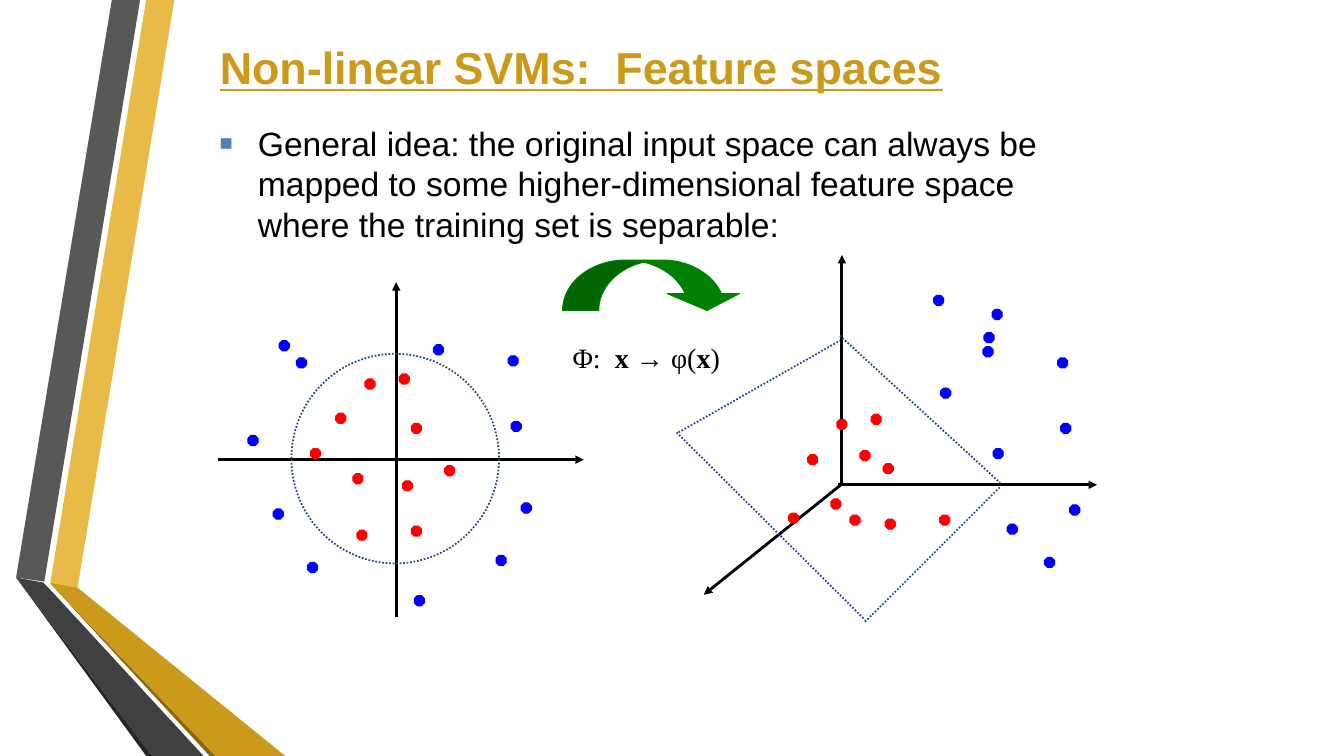
from pptx import Presentation
from pptx.dml.color import RGBColor
from pptx.enum.dml import MSO_LINE as Dash
from pptx.enum.shapes import MSO_CONNECTOR as Conn, MSO_SHAPE as Kind
from pptx.enum.text import MSO_ANCHOR as Anchor, PP_ALIGN as Align
from pptx.oxml.ns import qn
from pptx.util import Pt
from lxml.etree import SubElement as Sub

PX = 9144  # EMU per px, 100 px to the inch
RED, BLUE, NAVY, GOLD = "FF0000", "0000FF", "1F497D", "CC9A1A"
BLACK, GREEN = "000000", "008000"
DOT = 10

# Side ribbon: colour and outline
RIBBON = [
    ("E8BB49", [(173, 0), (145, 0), (50, 578), (77, 583)]),
    ("585858", [(139, 0), (111, 0), (16, 573), (44, 577)]),
    ("252525", [(16, 573), (145, 750), (151, 750)]),
    ("876711", [(50, 579), (208, 750), (214, 750)]),
    (GOLD, [(50, 578), (50, 579), (214, 750), (283, 750), (77, 583)]),
    ("404040", [(16, 573), (151, 750), (202, 750), (48, 583), (43, 578)]),
]

# Left and top of each dot
FLAT_RED = [(396, 371), (333, 410), (350, 470), (408, 522), (362, 376),
            (308, 445), (354, 526), (408, 420), (441, 462), (399, 477)]
FLAT_BLUE = [(507, 418), (492, 551), (246, 432), (411, 591), (517, 499),
             (305, 558), (271, 505), (277, 338), (430, 342), (294, 355),
             (504, 353)]
DEEP_RED = [(864, 411), (801, 451), (843, 511), (932, 511), (830, 416),
            (853, 447), (878, 515), (876, 460), (824, 495), (782, 509)]
DEEP_BLUE = [(1052, 420), (1036, 553), (984, 307), (985, 445), (1061, 501),
             (933, 385), (999, 520), (976, 330), (975, 344), (926, 293),
             (1049, 355)]

# Start and end of each line
FLAT_AXES = [(393, 612, 393, 280), (216, 456, 579, 456)]
DEEP_AXES = [(835, 479, 835, 253), (831, 481, 1088, 481),
             (834, 481, 698, 590)]
PLANE = [(833, 333, 992, 479), (858, 617, 992, 483),
         (673, 429, 833, 338), (671, 429, 858, 615)]


def emu(*px):
    return [n * PX for n in px]


def tint(hue):
    return RGBColor.from_string(hue)


def paint(shape, fill=None, line=None, width=0.75):
    shape.shadow.inherit = False
    if fill:
        shape.fill.solid()
        shape.fill.fore_color.rgb = tint(fill)
    else:
        shape.fill.background()
    if line:
        shape.line.color.rgb = tint(line)
        shape.line.width = Pt(width)
    else:
        shape.line.fill.background()


def style(font, name, size, hue):
    font.name, font.size = name, Pt(size)
    font.color.rgb = tint(hue)


def outline(slide, hue, points):
    pen = slide.shapes.build_freeform(*points[0], scale=PX)
    pen.add_line_segments(points[1:], close=True)
    paint(pen.convert_to_shape(), hue)


def dots(slide, hue, spots):
    for x, y in spots:
        dot = slide.shapes.add_shape(Kind.OCTAGON, *emu(x, y, DOT, DOT))
        paint(dot, hue, hue)


def line(slide, ends, hue, width):
    rule = slide.shapes.add_connector(Conn.STRAIGHT, *emu(*ends))
    rule.line.color.rgb = tint(hue)
    rule.line.width = Pt(width)
    Sub(rule._element.spPr, qn("a:effectLst"))
    return rule


def axis(slide, ends):
    rule = line(slide, ends, BLACK, 2)
    Sub(rule.line._get_or_add_ln(), qn("a:tailEnd"), type="triangle")


def edge(slide, ends):
    line(slide, ends, NAVY, 1.25).line.dash_style = Dash.ROUND_DOT


def ring(slide, box):
    loop = slide.shapes.add_shape(Kind.OVAL, *emu(*box))
    paint(loop, None, NAVY, 1.25)
    loop.line.dash_style = Dash.ROUND_DOT


def arrow(slide, box):
    bend = slide.shapes.add_shape(Kind.CURVED_DOWN_ARROW, *emu(*box))
    for i, part in enumerate((0.717, 1.433, 0.333)):
        bend.adjustments[i] = part
    paint(bend, GREEN, GREEN)


def title(slide, box, text):
    head = slide.shapes.title
    head.left, head.top, head.width, head.height = emu(*box)
    head.text_frame.text = text
    head.text_frame.vertical_anchor = Anchor.MIDDLE
    para = head.text_frame.paragraphs[0]
    para.alignment = Align.LEFT
    style(para.font, "Arial", 32, GOLD)
    para.font.bold = para.font.underline = True


def label(slide, box, runs, name, size, gap):
    frame = slide.shapes.add_textbox(*emu(*box)).text_frame
    frame.word_wrap = True
    para = frame.paragraphs[0]
    para.space_before = Pt(gap)
    style(para.font, name, size, BLACK)
    for text, bold in runs:
        run = para.add_run()
        run.text = text
        if bold:
            run.font.bold = True
    return para


def bullet(para, hue, size, indent):
    props = para._p.get_or_add_pPr()
    props.set("marL", str(indent * PX))
    props.set("indent", str(-indent * PX))
    marks = [Sub(props, qn("a:buClr")),
             Sub(props, qn("a:buSzPct"), val=str(size * 1000)),
             Sub(props, qn("a:buFont"), typeface="Arial"),
             Sub(props, qn("a:buChar"), char="■")]
    Sub(marks[0], qn("a:srgbClr"), val=hue)
    # Default run properties must follow the bullet
    props.append(props.find(qn("a:defRPr")))


def main():
    deck = Presentation()
    deck.slide_width, deck.slide_height = emu(1333, 750)
    slide = deck.slides.add_slide(deck.slide_layouts[5])

    # Ribbon and text
    for hue, points in RIBBON:
        outline(slide, hue, points)
    title(slide, (208, 25, 850, 83), "Non-linear SVMs:  Feature spaces")
    idea = ("General idea: the original input space can always be mapped to "
            "some higher-dimensional feature space where the training set "
            "is separable:")
    para = label(slide, (208, 117, 900, 550), [(idea, False)],
                 "Arial", 24, 4.8)
    bullet(para, "4F81BD", 65, 38)

    # Input space
    for ends in FLAT_AXES:
        axis(slide, ends)
    dots(slide, RED, FLAT_RED)
    dots(slide, BLUE, FLAT_BLUE)
    ring(slide, (289, 351, 206, 208))

    # Feature space
    for ends in DEEP_AXES:
        axis(slide, ends)
    dots(slide, RED, DEEP_RED)
    dots(slide, BLUE, DEEP_BLUE)
    for ends in PLANE:
        edge(slide, ends)

    # Mapping
    arrow(slide, (558, 258, 179, 50))
    label(slide, (558, 333, 208, 43),
          [("Φ:  ", False), ("x → ", True), ("φ(", False), ("x", True),
           (")", False)], "Times New Roman", 20, 10)

    deck.save("out.pptx")


if __name__ == "__main__":
    main()
